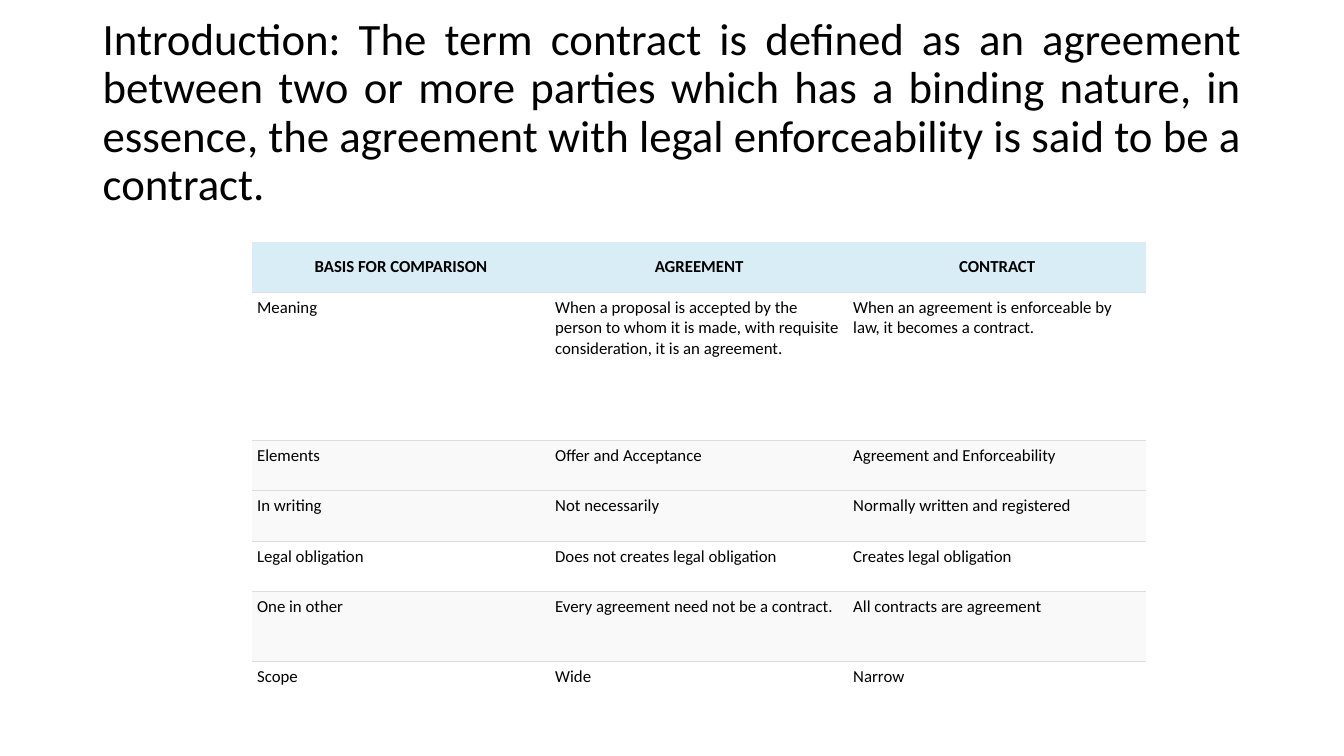
import pptx
import pptx.util
import pptx.dml.color
import pptx.enum.text
from lxml import etree
from pptx.oxml.ns import qn
from pptx.util import Inches, Pt

COLORS = {"text": "000000", "header": "D9EDF7", "plain": "FFFFFF",
          "shaded": "F9F9F9", "rule": "DDDDDD"}
FONT = "Calibri"
ALIGN = pptx.enum.text.PP_ALIGN
ANCHOR = pptx.enum.text.MSO_ANCHOR

INTRODUCTION = (
    "Introduction: The term contract is defined as an agreement between two or more "
    "parties which has a binding nature, in essence, the agreement with legal "
    "enforceability is said to be a contract.")

ROWS = [
    (0.5, "header", ("BASIS FOR COMPARISON", "AGREEMENT", "CONTRACT")),
    (1.47, "plain", (
        "Meaning",
        "When a proposal is accepted by the person to whom it is made, "
        "with requisite consideration, it is an agreement.",
        "When an agreement is enforceable by law, it becomes a contract.")),
    (0.5, "shaded", ("Elements", "Offer and Acceptance", "Agreement and Enforceability")),
    (0.5, "shaded", ("In writing", "Not necessarily", "Normally written and registered")),
    (0.5, "plain", ("Legal obligation", "Does not creates legal obligation",
                    "Creates legal obligation")),
    (0.69, "shaded", ("One in other", "Every agreement need not be a contract.",
                      "All contracts are agreement")),
    (0.3, "plain", ("Scope", "Wide", "Narrow")),
]


def rgb(name):
    """Return the named colour."""
    return pptx.dml.color.RGBColor.from_string(COLORS[name])


def style_paragraph(p, size, align, bold=False):
    """Set alignment and font of a paragraph."""
    p.alignment = align
    p.font.name = FONT
    p.font.size = Pt(size)
    p.font.bold = bold
    p.font.color.rgb = rgb("text")


def add_title(s, text):
    """Add the justified introduction."""
    tf = s.shapes.add_textbox(Inches(0.92), Inches(0.4), Inches(11.5), Inches(1.45)).text_frame
    tf.word_wrap = True
    tf.vertical_anchor = ANCHOR.MIDDLE
    p = tf.paragraphs[0]
    p.text = text
    p.line_spacing = 0.9
    style_paragraph(p, 32, ALIGN.JUSTIFY)


def set_borders(cell, ruled_sides):
    """Rule the given sides of a cell and clear the others."""
    tcPr = cell._tc.get_or_add_tcPr()
    for side in "LRTB":
        ln = etree.SubElement(tcPr, qn(f"a:ln{side}"), w=str(Pt(0.75)))
        if side in ruled_sides:
            fill = etree.SubElement(ln, qn("a:solidFill"))
            etree.SubElement(fill, qn("a:srgbClr"), val=COLORS["rule"])
        else:
            etree.SubElement(ln, qn("a:noFill"))


def fill_cell(cell, text, color, ruled_sides):
    """Write and format one table cell."""
    header = color == "header"
    cell.margin_left = cell.margin_right = Inches(0.05)
    cell.margin_top = cell.margin_bottom = Inches(0.05)
    cell.vertical_anchor = ANCHOR.MIDDLE if header else ANCHOR.TOP
    set_borders(cell, ruled_sides)
    cell.fill.solid()
    cell.fill.fore_color.rgb = rgb(color)
    p = cell.text_frame.paragraphs[0]
    p.text = text
    style_paragraph(p, 12, ALIGN.CENTER if header else ALIGN.LEFT, header)


def add_comparison(s, rows):
    """Add the table comparing agreement and contract."""
    height = sum(row[0] for row in rows)
    table = s.shapes.add_table(len(rows), 3, Inches(2.5), Inches(2.4),
                               Inches(8.87), Inches(height)).table
    table.first_row = True
    table.horz_banding = False
    for i, (row_height, color, texts) in enumerate(rows):
        table.rows[i].height = Inches(row_height)
        ruled_sides = ("T" if i > 0 else "") + ("B" if i < len(rows) - 1 else "")
        for j, text in enumerate(texts):
            fill_cell(table.cell(i, j), text, color, ruled_sides)


def main():
    """Build the slide and save it."""
    prs = pptx.Presentation()
    prs.slide_width, prs.slide_height = Inches(13.33), Inches(7.5)
    s = prs.slides.add_slide(prs.slide_layouts[6])
    add_title(s, INTRODUCTION)
    add_comparison(s, ROWS)
    prs.save("out.pptx")


if __name__ == "__main__":
    main()
